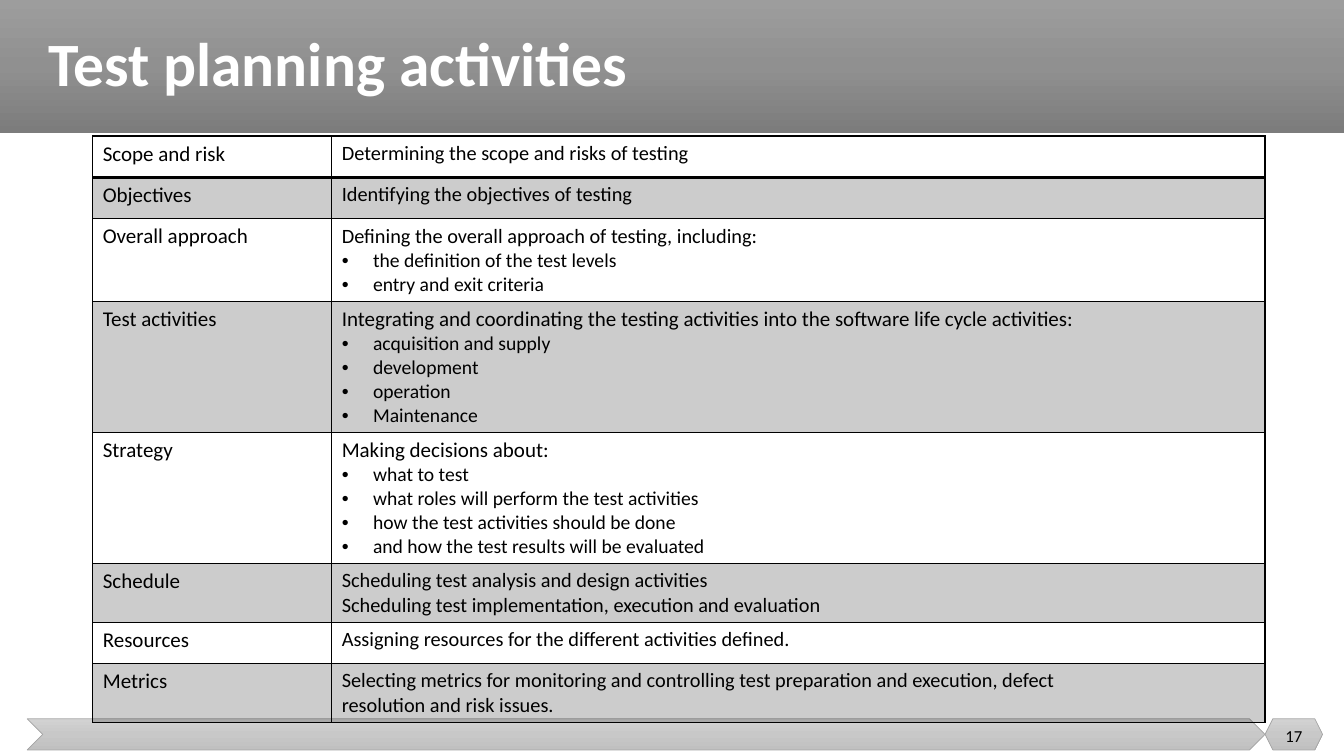
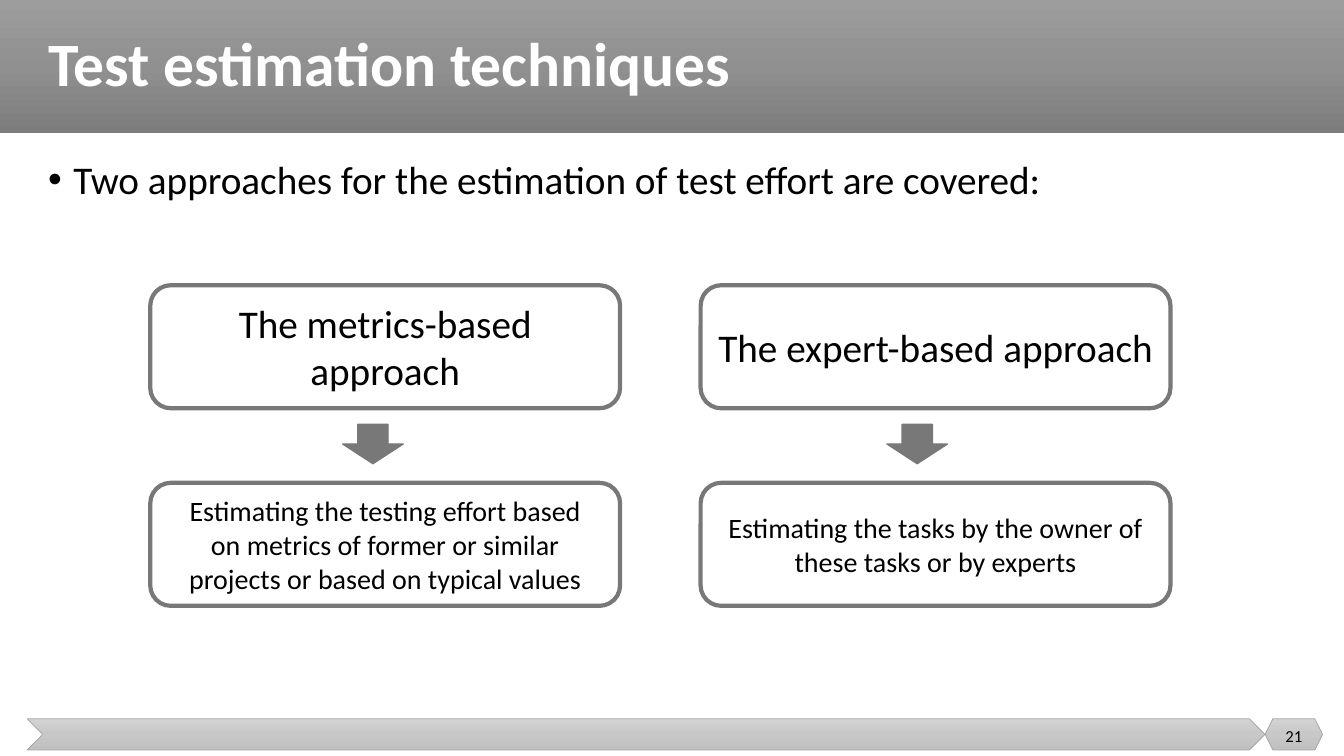
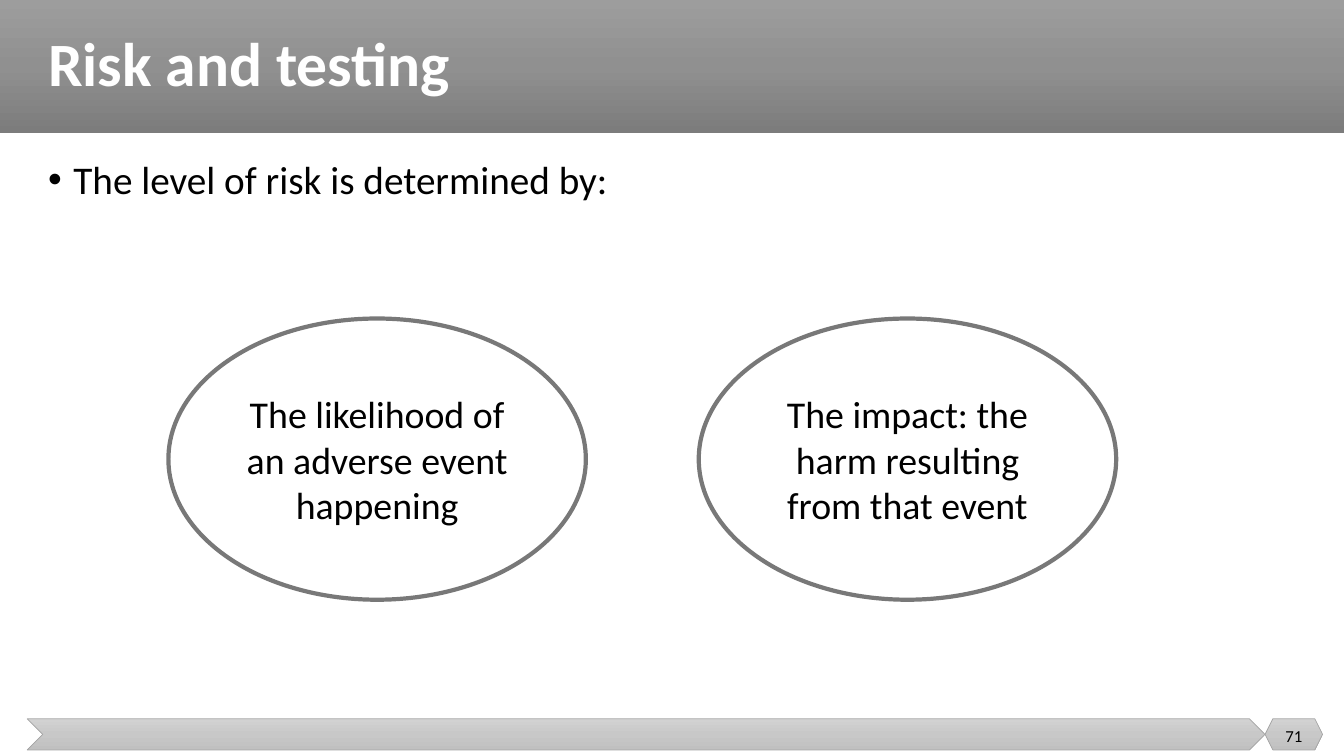
from dataclasses import dataclass

from lxml.etree import SubElement, Element
from pptx import Presentation
from pptx.dml.color import RGBColor as Rgb
from pptx.enum.shapes import MSO_SHAPE as Shape
from pptx.enum.text import MSO_ANCHOR as Anchor, PP_ALIGN as Align
from pptx.oxml.ns import qn
from pptx.util import Emu, Inches, Pt

HUES = {
    "black": "000000", "white": "FFFFFF", "gray": "787878", "edge": "A5A5A5",
}
FADES = {
    "band": ("9D9D9D", "909090", "7C7C7C"),
    "foot": ("D2D2D2", "C8C8C8", "C0C0C0"),
}
FONT = "Calibri"
WIDE, HIGH = Inches(13.333), Inches(7.5)


@dataclass(frozen=True)
class Box:
    """Place and size in percent of the slide's width and height."""
    x: float
    y: float
    w: float
    h: float

    def emus(self) -> tuple:
        return (across(self.x), down(self.y), across(self.w), down(self.h))


@dataclass(frozen=True)
class Line:
    text: str
    size: float
    hue: str = "black"
    bold: bool = False
    align: Align = Align.LEFT
    pitch: float = 1.0
    dent: float = 0.0  # bullet indent in inches; none when zero


@dataclass(frozen=True)
class Row:
    label: str
    leads: tuple
    points: tuple = ()
    size: float = 14.5


@dataclass(frozen=True)
class Node:
    """An outlined shape with centred text, one paragraph per line."""
    box: Box
    kind: Shape
    lines: tuple
    size: float


BAND = Box(0, 0, 100, 17.6)
TITLE = Box(2.85, 0, 95.55, 17.6)
BODY = Box(2.85, 20.53, 95.55, 69.2)
RAIL = Box(2.03, 95.07, 92.1, 4.13)
BADGE = Box(94.13, 95.07, 4.28, 4.13)
COUNT = Box(94.13, 94.67, 4.28, 5.33)

GRID = Box(6.9, 18, 87.23, 76.8)
SPLIT = (17.78, 69.45)
ROW_MIN, ROW_PAD, ROW_LINE = 5.47, 1.33, 3.2

ROWS = (
    Row("Scope and risk", ("Determining the scope and risks of testing",)),
    Row("Objectives", ("Identifying the objectives of testing",)),
    Row("Overall approach",
        ("Defining the overall approach of testing, including:",),
        ("the definition of the test levels", "entry and exit criteria")),
    Row("Test activities",
        ("Integrating and coordinating the testing activities into the "
         "software life cycle activities:",),
        ("acquisition and supply", "development", "operation", "Maintenance"),
        15),
    Row("Strategy", ("Making decisions about:",),
        ("what to test", "what roles will perform the test activities",
         "how the test activities should be done",
         "and how the test results will be evaluated"), 15),
    Row("Schedule",
        ("Scheduling test analysis and design activities",
         "Scheduling test implementation, execution and evaluation")),
    Row("Resources",
        ("Assigning resources for the different activities defined.",)),
    Row("Metrics",
        ("Selecting metrics for monitoring and controlling test preparation "
         "and execution, defect", "resolution and risk issues.")),
)

PATHS = (
    ("The metrics-based approach",
     ("Estimating the testing effort based",
      "on metrics of former or similar",
      "projects or based on typical values")),
    ("The expert-based approach",
     ("Estimating the tasks by the owner of", "these tasks or by experts")),
)
RISKS = (
    "The likelihood of an adverse event happening",
    "The impact: the harm resulting from that event",
)


def across(share: float) -> Emu:
    return Emu(round(WIDE * share / 100))


def down(share: float) -> Emu:
    return Emu(round(HIGH * share / 100))


def tint(hue: str) -> Rgb:
    return Rgb.from_string(HUES[hue])


def write(frame, lines: tuple) -> None:
    frame.word_wrap = True
    for i, line in enumerate(lines):
        para = frame.paragraphs[0] if i == 0 else frame.add_paragraph()
        para.alignment = line.align
        para.line_spacing = line.pitch
        if line.dent:
            props = para._p.get_or_add_pPr()
            props.set("marL", str(Inches(line.dent)))
            props.set("indent", str(-Inches(line.dent)))
            SubElement(props, qn("a:buFont"), typeface="Arial")
            SubElement(props, qn("a:buChar"), char="•")
        run = para.add_run()
        run.text = line.text
        font = run.font
        font.name, font.size, font.bold = FONT, Pt(line.size), line.bold
        font.color.rgb = tint(line.hue)


def add_text(slide, box: Box, line: Line, anchor: Anchor) -> None:
    frame = slide.shapes.add_textbox(*box.emus()).text_frame
    frame.vertical_anchor = anchor
    write(frame, (line,))


def add_form(slide, kind: Shape, box: Box, fill: str,
             edge: str = "", width: float = 0):
    """Draw a shape filled with a plain hue or a three-stop fade."""
    form = slide.shapes.add_shape(kind, *box.emus())
    form.shadow.inherit = False
    if fill in FADES:
        form.fill.gradient()
        form.fill.gradient_angle = 270
        stops = form._element.spPr.find(".//" + qn("a:gsLst"))
        for stop in list(stops):
            stops.remove(stop)
        for i, shade in enumerate(FADES[fill]):
            stop = SubElement(stops, qn("a:gs"), pos=str(i * 50000))
            SubElement(stop, qn("a:srgbClr"), val=shade)
    else:
        form.fill.solid()
        form.fill.fore_color.rgb = tint(fill)
    if edge:
        form.line.color.rgb = tint(edge)
        form.line.width = Pt(width)
    else:
        form.line.fill.background()
    return form


def add_node(slide, node: Node) -> None:
    form = add_form(slide, node.kind, node.box, "white", "gray", 3)
    form.text_frame.vertical_anchor = Anchor.MIDDLE
    write(form.text_frame, tuple(
        Line(text, node.size, align=Align.CENTER) for text in node.lines))


def add_page(deck, title: str, count: int, lead: str = ""):
    """Add a slide with the shared band, title, footer and lead bullet."""
    slide = deck.slides.add_slide(deck.slide_layouts[6])
    add_form(slide, Shape.RECTANGLE, BAND, "band")
    add_form(slide, Shape.CHEVRON, RAIL, "foot", "edge", 0.5)
    add_form(slide, Shape.HEXAGON, BADGE, "foot", "edge", 0.5)
    add_text(slide, TITLE, Line(title, 44, "white", True, pitch=0.9),
             Anchor.MIDDLE)
    add_text(slide, COUNT, Line(str(count), 12, align=Align.CENTER),
             Anchor.MIDDLE)
    if lead:
        add_text(slide, BODY, Line(lead, 28, pitch=0.9, dent=0.25),
                 Anchor.TOP)
    return slide


def style_cell(cell, shaded: bool, top: float, base: float) -> None:
    """Set a black see-through fill if shaded, and black borders."""
    props = cell._tc.get_or_add_tcPr()
    if shaded:
        cell.fill.solid()
        cell.fill.fore_color.rgb = tint("black")
        shade = props.find(".//" + qn("a:srgbClr"))
        SubElement(shade, qn("a:alpha"), val="20000")
    else:
        cell.fill.background()
    sides = (("L", 1), ("R", 1), ("T", top), ("B", base))
    for i, (side, width) in enumerate(sides):
        rule = Element(qn("a:ln" + side), w=str(Pt(width)))
        paint = SubElement(rule, qn("a:solidFill"))
        SubElement(paint, qn("a:srgbClr"), val=HUES["black"])
        props.insert(i, rule)


def add_grid(slide, rows: tuple) -> None:
    table = slide.shapes.add_table(
        len(rows), len(SPLIT), *GRID.emus()).table
    table.first_row = table.horz_banding = False
    for col, share in zip(table.columns, SPLIT):
        col.width = across(share)
    for i, row in enumerate(rows):
        count = len(row.leads) + len(row.points)
        table.rows[i].height = down(max(ROW_MIN, ROW_PAD + ROW_LINE * count))
        texts = (
            (Line(row.label, 15),),
            tuple(Line(text, row.size) for text in row.leads)
            + tuple(Line(text, 14, dent=0.31) for text in row.points),
        )
        for j, lines in enumerate(texts):
            cell = table.cell(i, j)
            style_cell(cell, i % 2 == 1, 2 if i == 1 else 1,
                       2 if i == 0 else 1)
            write(cell.text_frame, lines)


def add_paths(slide) -> None:
    for i, (head, notes) in enumerate(PATHS):
        left = 11.18 + 40.95 * i
        for top, lines, size in ((37.73, (head,), 28), (63.87, notes, 20)):
            box = Box(left, top, 34.96, 16.27)
            add_node(slide, Node(box, Shape.ROUNDED_RECTANGLE, lines, size))
        arrow = Box(25.5 + 40.5 * i, 56.13, 4.5, 5.2)
        add_form(slide, Shape.DOWN_ARROW, arrow, "gray", "gray", 1)


def add_risks(slide) -> None:
    for i, text in enumerate(RISKS):
        box = Box(12.53 + 39.46 * i, 42.13, 31.06, 37.2)
        add_node(slide, Node(box, Shape.OVAL, (text,), 27))


def main() -> None:
    deck = Presentation()
    deck.slide_width, deck.slide_height = WIDE, HIGH
    add_grid(add_page(deck, "Test planning activities", 17), ROWS)
    add_paths(add_page(
        deck, "Test estimation techniques", 21,
        "Two approaches for the estimation of test effort are covered:"))
    add_risks(add_page(deck, "Risk and testing", 71,
                       "The level of risk is determined by:"))
    deck.save("out.pptx")


if __name__ == "__main__":
    main()
